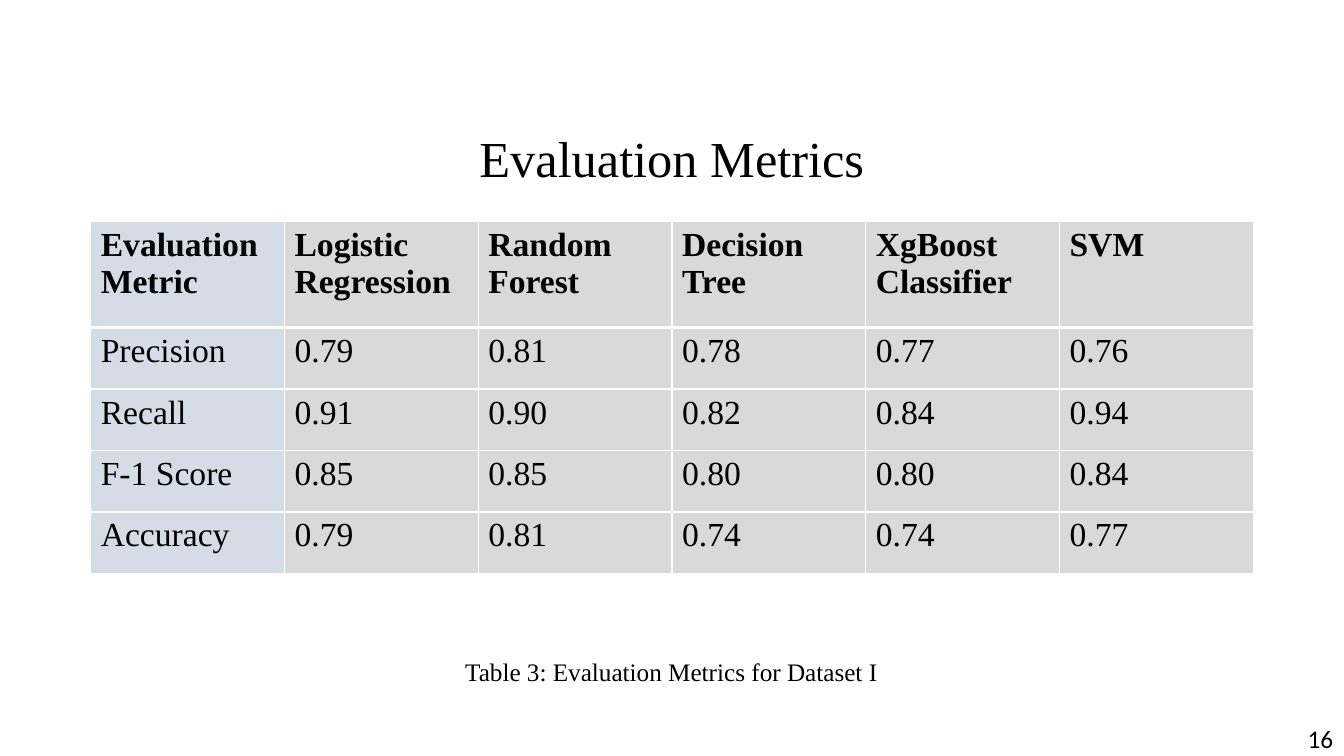
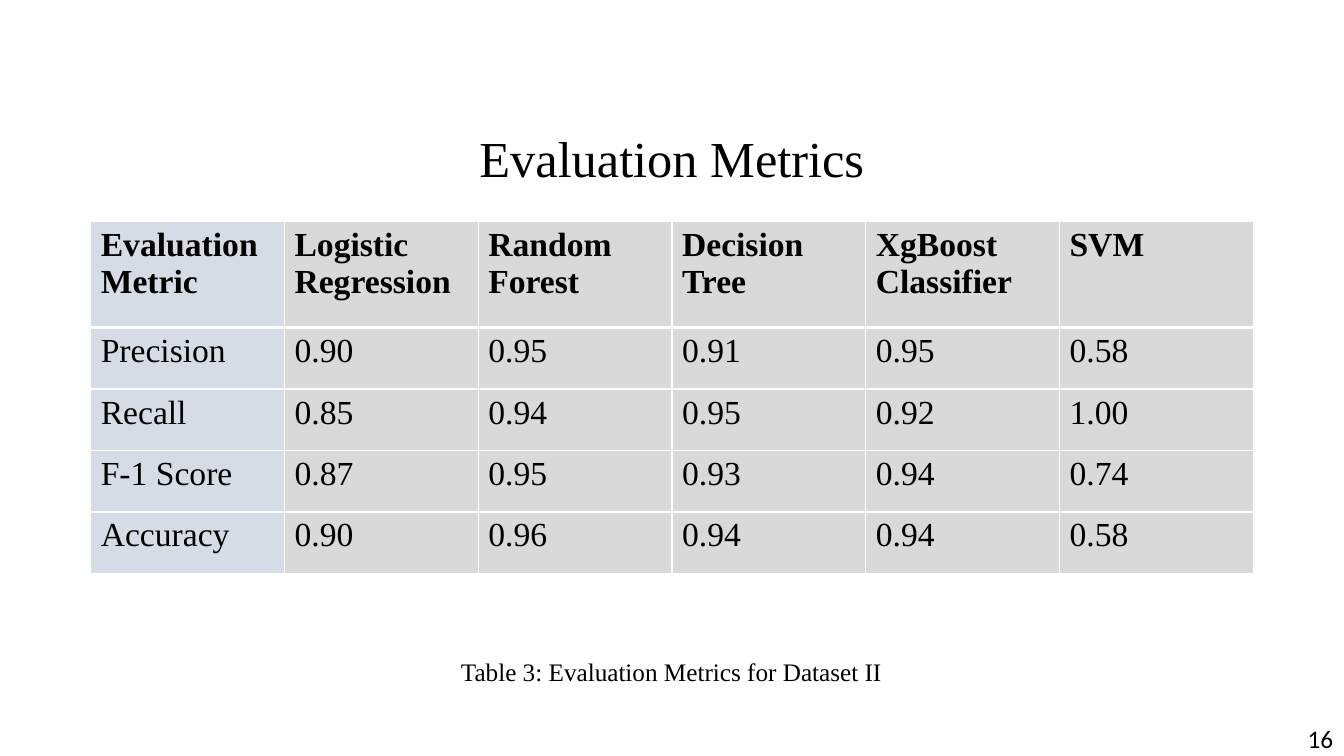
import pptx
import pptx.util
import pptx.dml.color
import pptx.enum.shapes
import pptx.enum.text
from lxml import etree
from pptx.oxml.ns import qn

Inches, Pt = pptx.util.Inches, pptx.util.Pt
RGB = pptx.dml.color.RGBColor.from_string
RECT = pptx.enum.shapes.MSO_SHAPE.RECTANGLE
ALIGN, ANCHOR = pptx.enum.text.PP_ALIGN, pptx.enum.text.MSO_ANCHOR

THEME = {
    "serif": "Times New Roman", "sans": "Calibri",
    "ink": "000000", "paper": "FFFFFF", "label": "D6DCE5", "value": "D9D9D9",
    "title": 36, "table": 24, "small": 18,
}

MODELS = ["Evaluation Metric", "Logistic Regression", "Random Forest",
          "Decision Tree", "XgBoost Classifier", "SVM"]
DATASETS = [
    ("I", [
        ["Precision", "0.79", "0.81", "0.78", "0.77", "0.76"],
        ["Recall", "0.91", "0.90", "0.82", "0.84", "0.94"],
        ["F-1 Score", "0.85", "0.85", "0.80", "0.80", "0.84"],
        ["Accuracy", "0.79", "0.81", "0.74", "0.74", "0.77"],
    ]),
    ("II", [
        ["Precision", "0.90", "0.95", "0.91", "0.95", "0.58"],
        ["Recall", "0.85", "0.94", "0.95", "0.92", "1.00"],
        ["F-1 Score", "0.87", "0.95", "0.93", "0.94", "0.74"],
        ["Accuracy", "0.90", "0.96", "0.94", "0.94", "0.58"],
    ]),
]


def add_run(p, text, size, font=THEME["serif"], bold=False):
    r = p.add_run()
    r.text = text
    r.font.name, r.font.size, r.font.bold = font, Pt(size), bold
    r.font.color.rgb = RGB(THEME["ink"])


def add_panel(s, box, text, size, font=THEME["serif"], outlined=True):
    sp = s.shapes.add_shape(RECT, *[Inches(v) for v in box])
    sp.shadow.inherit = False
    sp.fill.solid()
    sp.fill.fore_color.rgb = RGB(THEME["paper"])
    if outlined:
        sp.line.color.rgb = RGB(THEME["paper"])
        sp.line.width = Pt(1)
    else:
        sp.line.fill.background()
    tf = sp.text_frame
    tf.word_wrap = True
    tf.vertical_anchor = ANCHOR.MIDDLE
    tf.paragraphs[0].alignment = ALIGN.CENTER
    add_run(tf.paragraphs[0], text, size, font)
    return tf


prs = pptx.Presentation()
prs.slide_width, prs.slide_height = Inches(13.33), Inches(7.5)

for dataset, scores in DATASETS:
    s = prs.slides.add_slide(prs.slide_layouts[6])

    # Full-slide panel with the title near its top
    tf = add_panel(s, (0, 0, 13.33, 7.5), "Evaluation Metrics", THEME["title"])
    tf.vertical_anchor = ANCHOR.TOP
    tf.margin_top = Inches(1.26)

    # Metrics table
    rows = [MODELS] + scores
    table = s.shapes.add_table(len(rows), len(MODELS), Inches(0.9), Inches(2.2),
                               Inches(11.53), Inches(3.49)).table
    table.horz_banding = False
    for i, row in enumerate(rows):
        header = i == 0
        table.rows[i].height = Inches(1.05 if header else 0.61)
        for j, text in enumerate(row):
            cell = table.cell(i, j)
            # White rules, heavier along the header's lower edge
            tcPr = cell._tc.get_or_add_tcPr()
            for side in "LRTB":
                heavy = (header and side == "B") or (i == 1 and side == "T")
                ln = etree.SubElement(tcPr, qn("a:ln" + side),
                                      w=str(Pt(3 if heavy else 1)))
                fill = etree.SubElement(ln, qn("a:solidFill"))
                etree.SubElement(fill, qn("a:srgbClr"), val=THEME["paper"])
            cell.fill.solid()
            cell.fill.fore_color.rgb = RGB(THEME["value" if j else "label"])
            add_run(cell.text_frame.paragraphs[0], text, THEME["table"], bold=header)

    # Page number
    add_panel(s, (12.85, 7.16, 0.49, 0.34), "16", THEME["small"], THEME["sans"])

    # Caption
    tf = add_panel(s, (3.21, 6.32, 6.9, 0.54),
                   f"Table 3: Evaluation Metrics for Dataset {dataset}",
                   THEME["small"], outlined=False)
    p = tf.paragraphs[0]
    p.line_spacing, p.space_after = 1.5, Pt(8)

prs.save("out.pptx")
